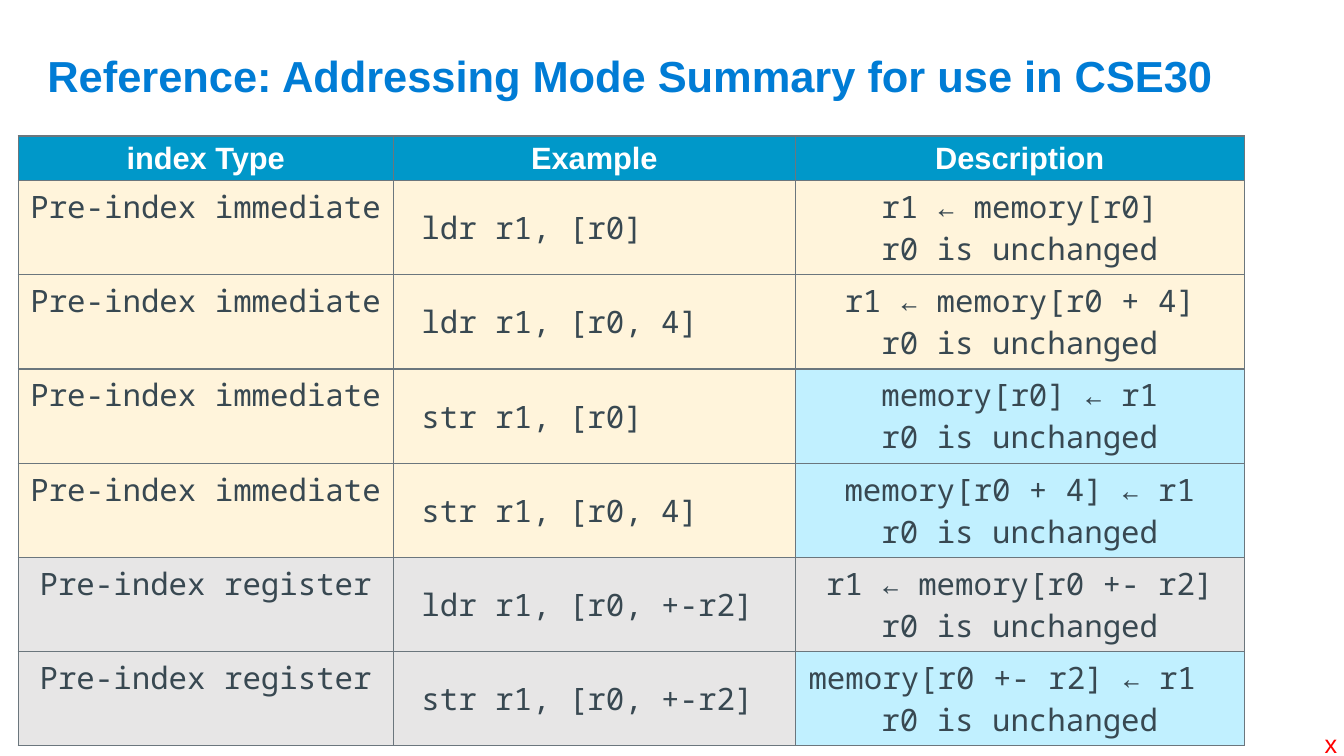
from lxml.etree import SubElement as sub
from pptx import Presentation
from pptx.dml.color import RGBColor as RGB
from pptx.enum.text import MSO_ANCHOR as Anchor, MSO_AUTO_SIZE as Auto, PP_ALIGN as Align
from pptx.oxml.ns import qn
from pptx.util import Inches, Pt

COLORS = {
    "title": "007CD5", "head": "0098C9", "white": "FFFFFF", "text": "384851",
    "load": "FFF4DB", "store": "C1F0FF", "reg": "E7E6E6", "rule": "6B767D",
    "mark": "FF0000",
}
KEPT = "r0 is unchanged"
HEADS = ["index Type", "Example", "Description"]
MODES = [
    ("immediate", "ldr r1, [r0]", "r1 ← memory[r0]"),
    ("immediate", "ldr r1, [r0, 4]", "r1 ← memory[r0 + 4]"),
    ("immediate", "str r1, [r0]", "memory[r0] ← r1"),
    ("immediate", "str r1, [r0, 4]", "memory[r0 + 4] ← r1"),
    ("register", "ldr r1, [r0, +-r2]", "r1 ← memory[r0 +- r2]"),
    ("register", "str r1, [r0, +-r2]", "memory[r0 +- r2] ← r1"),
]


def write(frame, text, size=22, font="Arial", color="text", bold=False, align=Align.LEFT):
    frame.text = text
    for para in frame.paragraphs:
        para.alignment = align
        para.font.size = Pt(size)
        para.font.name = font
        para.font.bold = bold
        para.font.color.rgb = RGB.from_string(COLORS[color])


class Deck:
    """Hold the style and the current slide, and draw its elements."""

    def __init__(self):
        self.file = Presentation()
        self.file.slide_width = Inches(13.33)
        self.file.slide_height = Inches(7.5)
        self.slide = self.file.slides.add_slide(self.file.slide_layouts[5])

    def title(self, text):
        shape = self.slide.shapes.title
        shape.left, shape.top = Inches(0.37), Inches(0.5)
        shape.width, shape.height = Inches(12.31), Inches(0.55)
        frame = shape.text_frame
        frame.auto_size = Auto.NONE
        frame.vertical_anchor = Anchor.BOTTOM
        write(frame, text, size=31, color="title", bold=True)

    def grid(self, left, top, cols, rows):
        table = self.slide.shapes.add_table(
            len(rows), len(cols), Inches(left), Inches(top),
            Inches(sum(cols)), Inches(sum(rows))).table
        table.horz_banding = False
        for col, width in zip(table.columns, cols):
            col.width = Inches(width)
        for row, height in zip(table.rows, rows):
            row.height = Inches(height)
        return table

    def cell(self, cell, text, fill, anchor=Anchor.TOP, pad=0.1, **style):
        props = cell._tc.get_or_add_tcPr()
        for side in ("lnL", "lnR", "lnT", "lnB"):
            line = sub(props, qn("a:" + side), w=str(Pt(1)))
            paint = sub(line, qn("a:solidFill"))
            sub(paint, qn("a:srgbClr"), val=COLORS["rule"])
        cell.fill.solid()
        cell.fill.fore_color.rgb = RGB.from_string(COLORS[fill])
        cell.vertical_anchor = anchor
        cell.margin_left = Inches(pad)
        cell.margin_right = Inches(0.1 if anchor == Anchor.MIDDLE else pad)
        write(cell.text_frame, text, **style)

    def label(self, text, left, top, width, height, **style):
        box = self.slide.shapes.add_textbox(
            Inches(left), Inches(top), Inches(width), Inches(height))
        box.text_frame.word_wrap = False
        write(box.text_frame, text, **style)

    def modes(self):
        table = self.grid(0.18, 1.35, [3.72, 3.99, 4.45], [0.44] + [0.93] * len(MODES))
        for col, text in enumerate(HEADS):
            self.cell(table.cell(0, col), text, "head", Anchor.MIDDLE,
                      color="white", bold=True, align=Align.CENTER)
        mono = {"font": "Noto Sans Mono"}
        for row, (kind, code, effect) in enumerate(MODES, 1):
            fill = "load" if kind == "immediate" else "reg"
            last = "store" if code.startswith("str") else fill
            self.cell(table.cell(row, 0), "Pre-index " + kind, fill,
                      align=Align.CENTER, **mono)
            self.cell(table.cell(row, 1), code, fill, Anchor.MIDDLE, pad=0.28, **mono)
            self.cell(table.cell(row, 2), effect + "\n" + KEPT, last, pad=0.13,
                      align=Align.CENTER, **mono)
        final = table.cell(len(MODES), 2).text_frame
        final.paragraphs[0].alignment = Align.LEFT


def main():
    deck = Deck()
    deck.title("Reference: Addressing Mode Summary for use in CSE30")
    deck.modes()
    deck.label("x", 13.04, 7.18, 0.33, 0.4, size=18, color="mark")
    deck.file.save("out.pptx")


if __name__ == "__main__":
    main()
